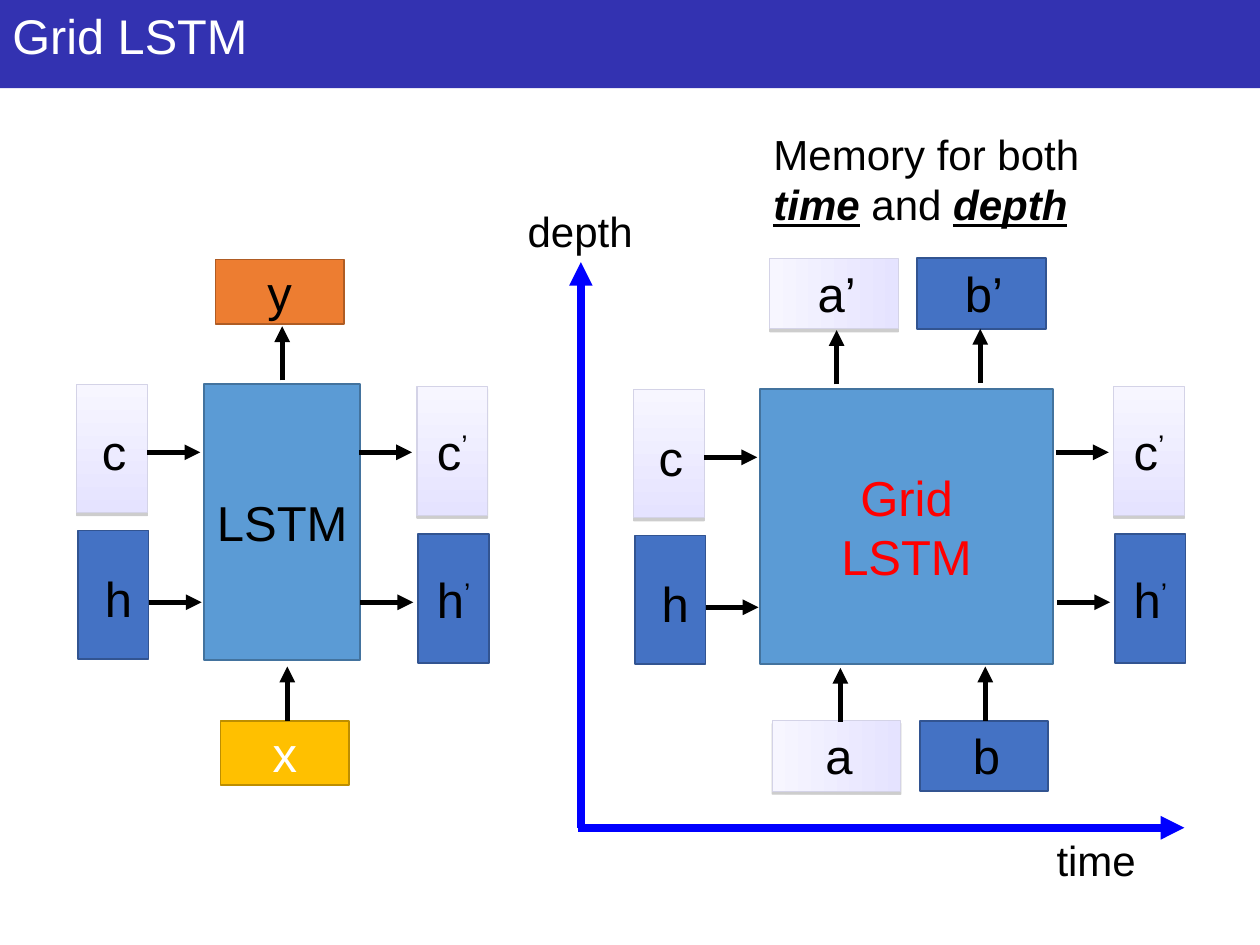
from lxml import etree
from pptx import Presentation
from pptx import util as u
from pptx.dml import color
from pptx.enum import shapes, text
from pptx.oxml import ns

Inches = u.Inches
COLORS = {
    "header": "3332B1", "white": "FFFFFF", "black": "000000", "red": "FF0000",
    "axis": "0000FF", "cell": "5B9BD5", "cell_line": "43739E",
    "hidden": "4472C4", "hidden_line": "325491",
    "output": "ED7D31", "output_line": "AF5C24",
    "input": "FFC000", "input_line": "BD8E00",
    "memory_light": "F7F6FF", "memory_dark": "E5E3FF",
    "memory_line": "D4D3E7", "shadow": "808080",
}


def rgb(name):
    return color.RGBColor.from_string(COLORS[name])


def style_span(span, size, ink):
    span.font.name = "Arial"
    span.font.size = u.Pt(size)
    span.font.color.rgb = rgb(ink)


def write(shape, words, size=28, ink="black", align=text.PP_ALIGN.CENTER):
    shape.text_frame.text = words
    for para in shape.text_frame.paragraphs:
        para.alignment = align
        for span in para.runs:
            style_span(span, size, ink)


def add_label(page, words, box, size=28, ink="black", align=text.PP_ALIGN.CENTER, wrap=False):
    label = page.shapes.add_textbox(*map(Inches, box))
    label.text_frame.word_wrap = wrap
    write(label, words, size, ink, align)
    return label


def add_block(page, box, fill, line=None, words="", ink="black"):
    block = page.shapes.add_shape(shapes.MSO_SHAPE.RECTANGLE, *map(Inches, box))
    block.shadow.inherit = False
    block.fill.solid()
    block.fill.fore_color.rgb = rgb(fill)
    if line:
        block.line.color.rgb = rgb(line)
        block.line.width = u.Pt(1)
    else:
        block.line.fill.background()
    frame = block.text_frame
    frame.margin_left = frame.margin_right = 0
    frame.vertical_anchor = text.MSO_ANCHOR.MIDDLE
    if words:
        write(block, words, ink=ink)
    return block


def add_hidden(page, left, top):
    return add_block(page, (left, top, 0.56, 1.02), "hidden", "hidden_line")


def add_memory(page, left, top):
    tile = add_block(page, (left, top, 0.56, 1.02), "memory_light", "memory_line")
    tile.line.width = u.Pt(0.75)
    tile.fill.gradient()
    tile.fill.gradient_angle = 270
    for stop, name in zip(tile.fill.gradient_stops, ("memory_light", "memory_dark")):
        stop.color.rgb = rgb(name)
    effects = tile._element.spPr.find(ns.qn("a:effectLst"))
    shadow = etree.SubElement(effects, ns.qn("a:outerShdw"), dist=str(u.Pt(1.6)),
                              dir="5400000", rotWithShape="0")
    tint = etree.SubElement(shadow, ns.qn("a:srgbClr"), val=COLORS["shadow"])
    etree.SubElement(tint, ns.qn("a:alpha"), val="38000")
    return tile


def add_arrow(page, start, end, ink="black", width=3):
    arrow = page.shapes.add_connector(
        shapes.MSO_CONNECTOR.STRAIGHT, *map(Inches, (*start, *end)))
    arrow.line.color.rgb = rgb(ink)
    arrow.line.width = u.Pt(width)
    etree.SubElement(arrow.line._get_or_add_ln(), ns.qn("a:tailEnd"), type="triangle")
    etree.SubElement(arrow._element.spPr, ns.qn("a:effectLst"))


def arrow_right(page, left, top):
    add_arrow(page, (left, top), (left + 0.42, top))


def arrow_up(page, left, bottom):
    add_arrow(page, (left, bottom), (left, bottom - 0.43))


def write_primed(tile, letter):
    write(tile, letter)
    prime = tile.text_frame.paragraphs[0].add_run()
    prime.text = "’"
    style_span(prime, 28, "black")
    prime.font._element.set("baseline", "30000")


def build_incoming(page, left, top):
    add_memory(page, left, top)
    add_hidden(page, left + 0.01, top + 1.16)
    arrow_right(page, left + 0.56, top + 0.54)
    arrow_right(page, left + 0.57, top + 1.73)
    add_label(page, "c", (left + 0.1, top + 0.25, 0.37, 0.57))
    add_label(page, "h", (left + 0.12, top + 1.41, 0.42, 0.57))


def build_outgoing(page, left, top):
    arrow_right(page, left - 0.46, top + 0.52)
    arrow_right(page, left - 0.45, top + 1.71)
    write_primed(add_memory(page, left, top), "c")
    write_primed(add_hidden(page, left + 0.01, top + 1.17), "h")


def build_depth_pair(page, left, top, words):
    for index, (add_tile, word) in enumerate(zip((add_memory, add_hidden), words)):
        tile_left = left + 1.17 * index
        add_tile(page, tile_left, top).rotation = 270
        add_label(page, word, (tile_left + 0.05, top + 0.22, 0.5, 0.57))


def build_header(page, left, top, width, height):
    add_block(page, (left, top, width, height), "header")
    add_label(page, "Grid LSTM", (left, top, width, 0.57), 27.8, "white",
              text.PP_ALIGN.LEFT, True)


def build_lstm(page, left, top):
    add_block(page, (left + 1.01, top + 0.99, 1.24, 2.19), "cell", "cell_line", "LSTM")
    add_block(page, (left + 1.1, top, 1.02, 0.51), "output", "output_line", "y")
    add_block(page, (left + 1.14, top + 3.66, 1.02, 0.51), "input", "input_line", "x", "white")
    arrow_up(page, left + 1.63, top + 0.96)
    arrow_up(page, left + 1.67, top + 3.66)
    build_incoming(page, left, top + 0.99)
    build_outgoing(page, left + 2.7, top + 1.01)


def build_grid_lstm(page, left, top):
    add_block(page, (left + 1, top + 1.05, 2.33, 2.18), "cell", "cell_line", "Grid\nLSTM", "red")
    build_incoming(page, left, top + 1.05)
    build_outgoing(page, left + 3.81, top + 1.03)
    build_depth_pair(page, left + 1.33, top + 3.45, ("a", "b"))
    build_depth_pair(page, left + 1.31, top - 0.22, ("a’", "b’"))
    for arrow_left, bottom in ((1.64, 3.69), (2.79, 3.68), (1.61, 1.01), (2.75, 1)):
        arrow_up(page, left + arrow_left, top + bottom)


def build_axes(page, left, top, width, height):
    bottom = top + height
    add_arrow(page, (left - 0.02, bottom), (left + width, bottom), "axis", 4.5)
    add_arrow(page, (left, bottom), (left, top), "axis", 4.5)
    add_label(page, "time", (left + 3.17, bottom, 1.84, 0.51), 24, wrap=True)
    add_label(page, "depth", (left - 0.58, top - 0.5, 1.15, 0.51), 24, wrap=True)


def build_caption(page, left, top, width, height):
    caption = add_label(page, "", (left, top, width, height), wrap=True)
    para = caption.text_frame.paragraphs[0]
    para.alignment = text.PP_ALIGN.LEFT
    for words, strong in (("Memory for both ", False), ("time", True),
                          (" and ", False), ("depth", True)):
        span = para.add_run()
        span.text = words
        style_span(span, 24, "black")
        span.font.bold = span.font.italic = span.font.underline = strong


def main():
    deck = Presentation()
    deck.slide_width, deck.slide_height = Inches(10), Inches(7.5)
    page = deck.slides.add_slide(deck.slide_layouts[6])
    build_header(page, 0, 0, 10, 0.7)
    build_lstm(page, 0.61, 2.06)
    build_grid_lstm(page, 5.03, 2.04)
    build_caption(page, 6.04, 0.97, 2.94, 0.91)
    build_axes(page, 4.61, 2.08, 4.79, 4.49)
    deck.save("out.pptx")


if __name__ == "__main__":
    main()
